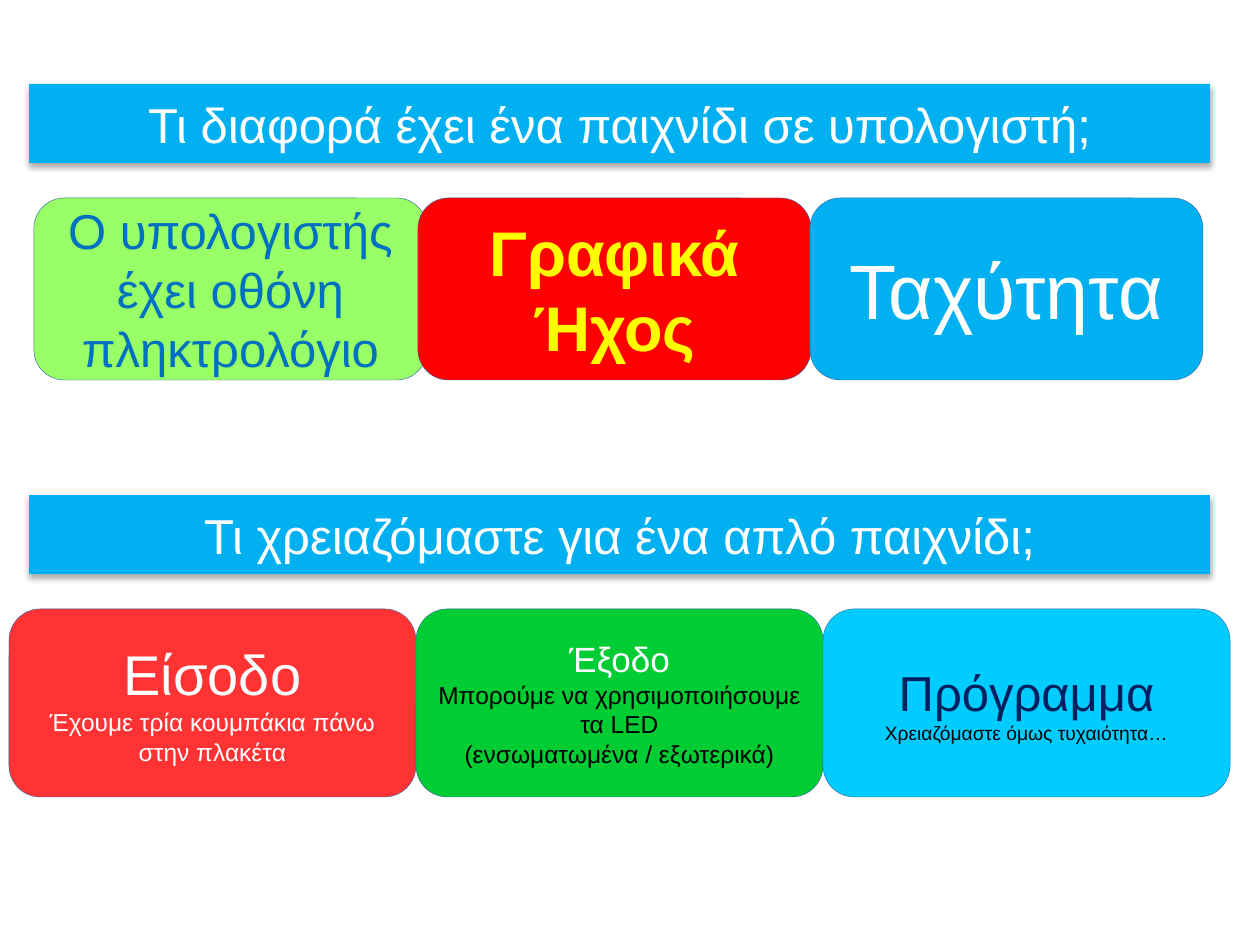
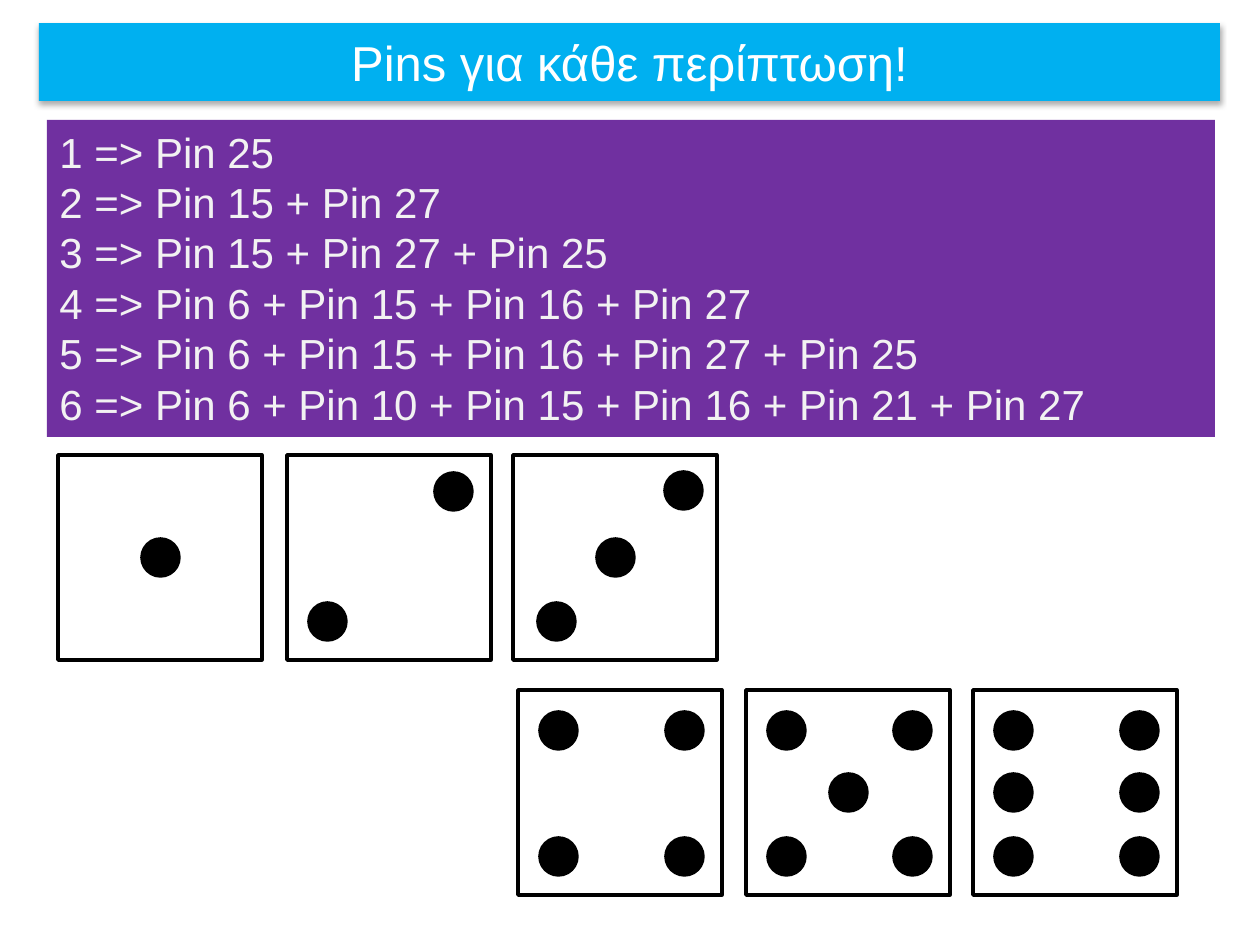
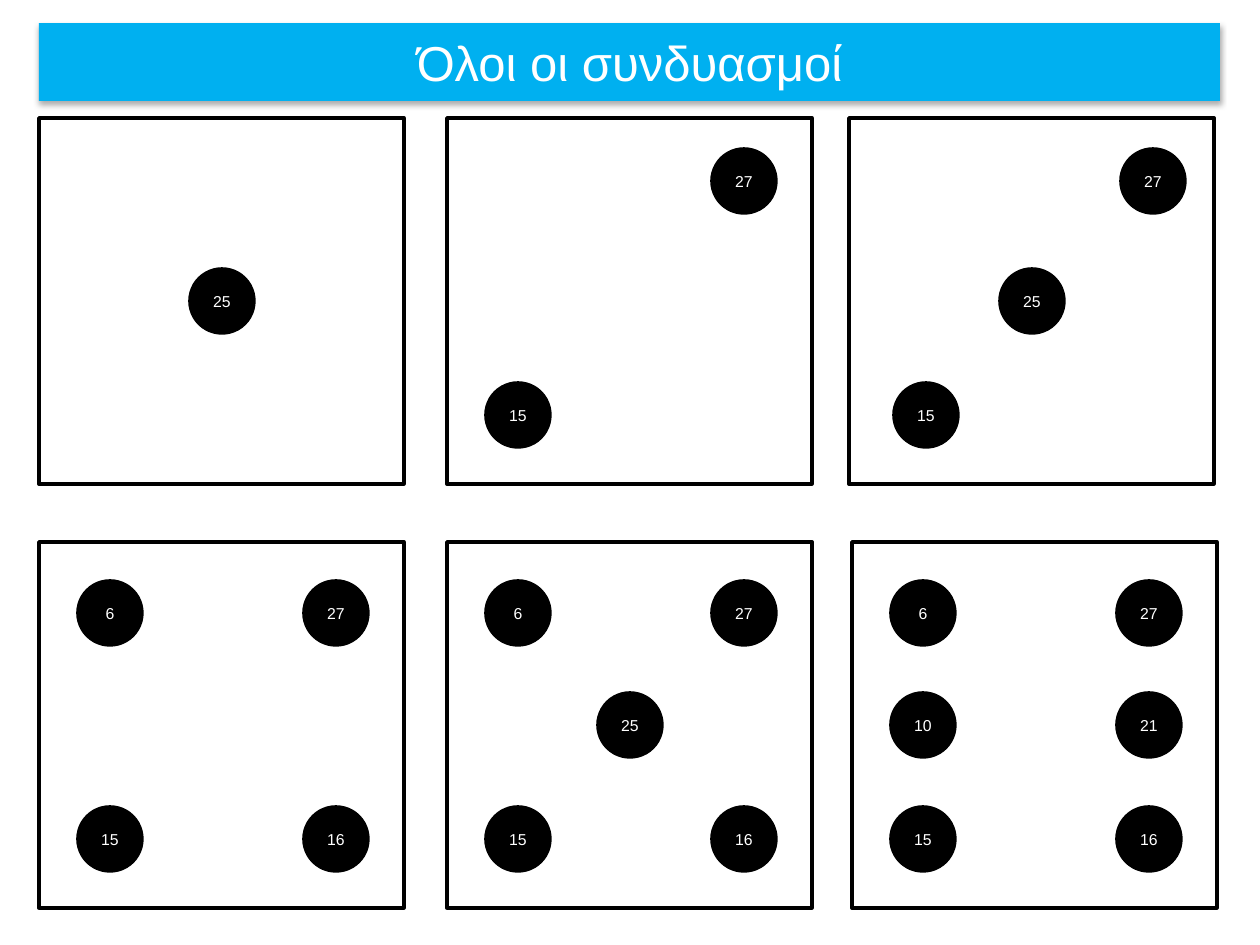
from dataclasses import dataclass

from lxml.etree import SubElement
from pptx import Presentation
from pptx.dml.color import RGBColor as RGB
from pptx.enum.shapes import MSO_SHAPE as SHAPE
from pptx.enum.text import MSO_ANCHOR as ANCHOR, MSO_AUTO_SIZE as AUTO, PP_ALIGN as ALIGN
from pptx.oxml.ns import qn
from pptx.util import Emu, Pt

PX_PER_INCH = 126


def px(n):
    return Emu(round(n * 914400 / PX_PER_INCH))


@dataclass(frozen=True)
class Theme:
    font: str = "Arial"
    # Colours
    white: str = "FFFFFF"
    black: str = "000000"
    band: str = "00B0F0"
    panel: str = "7030A0"
    panel_text: str = "F2F2F2"
    card_line: str = "3465A4"
    lime: str = "99FF66"
    blue: str = "0070C0"
    red: str = "FF0000"
    yellow: str = "FFFF00"
    coral: str = "FF3333"
    green: str = "00CC33"
    cyan: str = "00CCFF"
    navy: str = "002060"
    # Type sizes
    title: int = 28
    listing: int = 24
    huge: int = 44
    big: int = 36
    head: int = 32
    subhead: int = 20
    note: int = 14
    small: int = 11
    pin: int = 9


T = Theme()

# Pins lit for each face of the die
FACES = {
    1: [25],
    2: [15, 27],
    3: [15, 27, 25],
    4: [6, 15, 16, 27],
    5: [6, 15, 16, 27, 25],
    6: [6, 10, 15, 16, 21, 27],
}

# Corner of each pip, in thousandths of the die's side
LOW, MID, HIGH = 108, 414, 727
PIN_CELLS = {
    6: (LOW, LOW), 27: (HIGH, LOW),
    10: (LOW, MID), 25: (MID, MID), 21: (HIGH, MID),
    15: (LOW, HIGH), 16: (HIGH, HIGH),
}
NUDGES = {(2, 27): (0, -22), (3, 27): (18, -24), (3, 15): (16, 0)}


class Deck:
    def __init__(self, theme):
        self.theme = theme
        self.prs = Presentation()
        self.prs.slide_width, self.prs.slide_height = px(1260), px(945)
        self.slide = None

    def new_slide(self):
        self.slide = self.prs.slides.add_slide(self.prs.slide_layouts[5])

    def paint(self, sp, fill, line=None, width=2):
        sp.shadow.inherit = False
        sp.fill.solid()
        sp.fill.fore_color.rgb = RGB.from_string(fill)
        if line:
            sp.line.color.rgb = RGB.from_string(line)
            sp.line.width = Pt(width)
        else:
            sp.line.fill.background()

    def shape(self, kind, x, y, w, h, fill, line=None, width=2):
        sp = self.slide.shapes.add_shape(kind, px(x), px(y), px(w), px(h))
        self.paint(sp, fill, line, width)
        return sp

    def add_text(self, sp, lines, align=ALIGN.CENTER, anchor=ANCHOR.MIDDLE):
        """Fill a shape with one paragraph per (text, size, colour, bold)."""
        tf = sp.text_frame
        tf.auto_size = AUTO.NONE
        tf.vertical_anchor = anchor
        for i, (text, size, color, bold) in enumerate(lines):
            p = tf.add_paragraph() if i else tf.paragraphs[0]
            p.alignment = align
            r = p.add_run()
            r.text = text
            r.font.name = self.theme.font
            r.font.size = Pt(size)
            r.font.bold = bold
            r.font.color.rgb = RGB.from_string(color)
        return tf

    def band(self, text, x, y, h, is_title=True):
        t = self.theme
        if is_title:
            sp = self.slide.shapes.title
            sp.left, sp.top, sp.width, sp.height = px(x), px(y), px(1181), px(h)
            self.paint(sp, t.band)
        else:
            sp = self.shape(SHAPE.RECTANGLE, x, y, 1181, h, t.band)
        self.add_text(sp, [(text, t.title, t.white, False)])
        # Soft shadow straight below
        effects = sp._element.spPr.find(qn("a:effectLst"))
        shadow = SubElement(effects, qn("a:outerShdw"), blurRad=str(Pt(3.5)),
                            dist=str(Pt(2.2)), dir="5400000", rotWithShape="0")
        color = SubElement(shadow, qn("a:srgbClr"), val=t.black)
        SubElement(color, qn("a:alpha"), val="32000")

    def card(self, x, y, w, h, fill, lines):
        sp = self.shape(SHAPE.ROUNDED_RECTANGLE, x, y, w, h, fill, self.theme.card_line, 0.25)
        tf = self.add_text(sp, lines)
        tf.word_wrap = False
        tf.margin_top = tf.margin_bottom = 0

    def panel(self, x, y, w, h, lines):
        t = self.theme
        sp = self.shape(SHAPE.RECTANGLE, x, y, w, h, t.panel)
        tf = self.add_text(sp, [(line, t.listing, t.panel_text, False) for line in lines],
                           ALIGN.LEFT, ANCHOR.TOP)
        tf.word_wrap = True

    def die(self, face, x, y, side, pip, labels=False):
        t = self.theme
        self.shape(SHAPE.RECTANGLE, x, y, side, side + 1, t.white, t.black)
        for pin in FACES[face]:
            cx, cy = PIN_CELLS[pin]
            dx, dy = NUDGES.get((face, pin), (0, 0))
            left = x + round((cx + dx) * side / 1000)
            top = y + round((cy + dy) * side / 1000)
            sp = self.shape(SHAPE.OVAL, left, top, pip, pip, t.black, t.black)
            if labels:
                tf = self.add_text(sp, [(str(pin), t.pin, t.white, False)])
                tf.word_wrap = False
                tf.margin_left = tf.margin_right = 0

    def dice(self, corners, side, pip, labels=False):
        for face, (x, y) in zip(FACES, corners):
            self.die(face, x, y, side, pip, labels)


def game_slide(deck):
    deck.new_slide()

    # What a computer game adds
    deck.band("Τι διαφορά έχει ένα παιχνίδι σε υπολογιστή;", 29, 84, 79)
    features = [
        (34, T.lime, [(text, T.title, T.blue, False)
                      for text in ("Ο υπολογιστής", "έχει οθόνη", "πληκτρολόγιο")]),
        (418, T.red, [(text, T.big, T.yellow, True) for text in ("Γραφικά", "Ήχος")]),
        (810, T.band, [("Ταχύτητα", T.huge, T.white, False)]),
    ]
    for x, fill, lines in features:
        deck.card(x, 198, 393, 182, fill, lines)

    # What a simple game needs
    deck.band("Τι χρειαζόμαστε για ένα απλό παιχνίδι;", 29, 495, 79, is_title=False)
    needs = [
        (T.coral, [("Είσοδο", T.head, T.white, False),
                   ("Έχουμε τρία κουμπάκια πάνω", T.note, T.white, False),
                   ("στην πλακέτα", T.note, T.white, False)]),
        (T.green, [("Έξοδο", T.subhead, T.white, False),
                   ("Μπορούμε να χρησιμοποιήσουμε", T.note, T.black, False),
                   ("τα LED", T.note, T.black, False),
                   ("(ενσωματωμένα / εξωτερικά)", T.note, T.black, False)]),
        (T.cyan, [("Πρόγραμμα", T.title, T.navy, False),
                  ("Χρειαζόμαστε όμως τυχαιότητα…", T.small, T.black, False)]),
    ]
    for i, (fill, lines) in enumerate(needs):
        deck.card(9 + 407 * i, 609, 407, 188, fill, lines)


def pins_slide(deck):
    deck.new_slide()
    deck.band("Pins για κάθε περίπτωση!", 39, 23, 78)
    deck.panel(47, 120, 1168, 317,
               [f"{face} => " + " + ".join(f"Pin {pin}" for pin in pins)
                for face, pins in FACES.items()])
    deck.dice([(58, 455), (287, 455), (513, 455), (518, 690), (746, 690), (973, 690)], 204, 37)


def combinations_slide(deck):
    deck.new_slide()
    deck.band("Όλοι οι συνδυασμοί", 39, 23, 78)
    deck.dice([(39, 118), (447, 118), (849, 118), (39, 542), (447, 542), (852, 542)],
              365, 64, labels=True)


def main():
    deck = Deck(T)
    game_slide(deck)
    pins_slide(deck)
    combinations_slide(deck)
    deck.prs.save("out.pptx")


if __name__ == "__main__":
    main()
